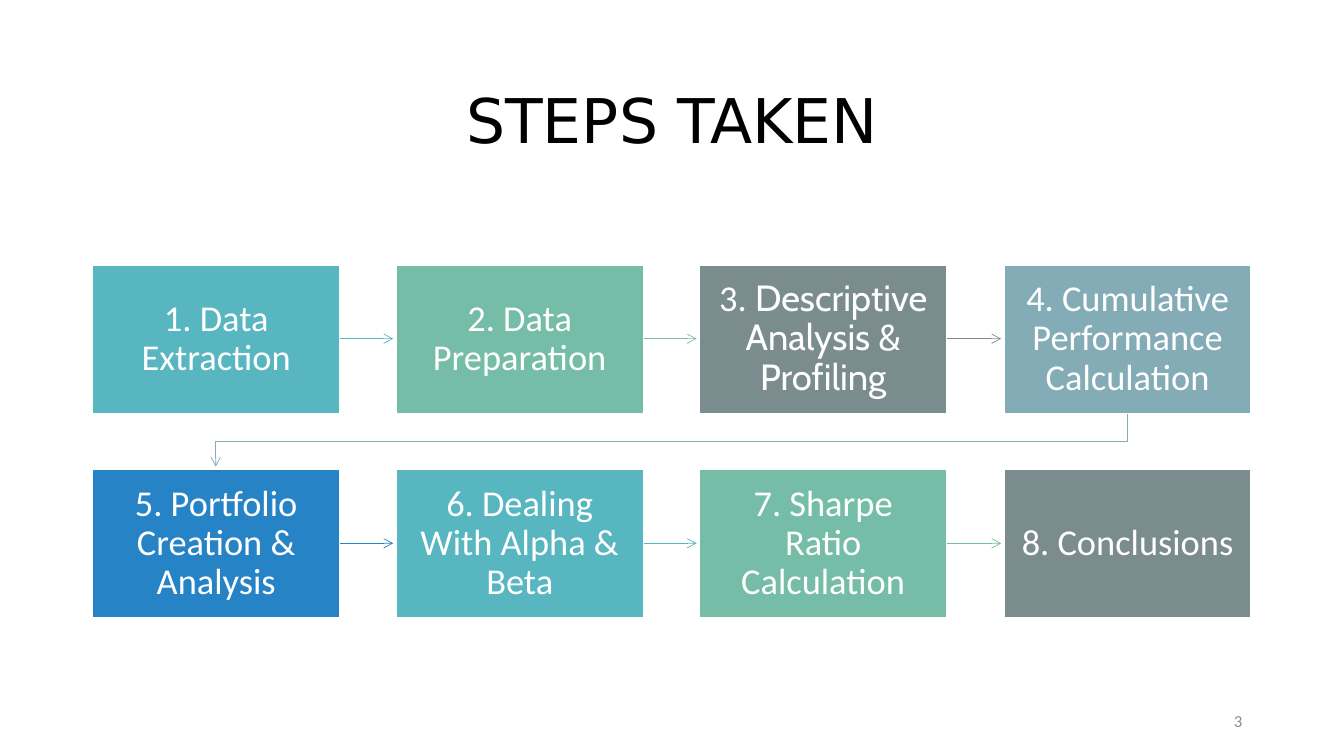
from pptx import Presentation
from pptx.dml.color import RGBColor as Rgb
from pptx.enum.shapes import MSO_CONNECTOR as Link, MSO_SHAPE as Form
from pptx.enum.text import MSO_ANCHOR as Anchor, MSO_AUTO_SIZE as Fit, PP_ALIGN as Align
from pptx.oxml.ns import qn
from pptx.util import Pt
from lxml.etree import SubElement as Sub

PX = 9144  # EMU in one px, 100 px to the inch
HUES = {"teal": "58B6C0", "green": "75BDA7", "slate": "7A8C8E", "mist": "84ACB6",
        "blue": "2683C6", "white": "FFFFFF", "black": "000000", "gray": "8C8C8C"}
COLS = 4
STEPS = [  # runs of text with their fonts, fill
    ([("1. Data Extraction", "Calibri")], "teal"),
    ([("2. Data Preparation", "Calibri")], "green"),
    ([("3. ", "Calibri"), ("Descriptive Analysis & Profiling", "Cabin")], "slate"),
    ([("4. Cumulative Performance Calculation", "Calibri")], "mist"),
    ([("5. Portfolio Creation & Analysis", "Calibri")], "blue"),
    ([("6. Dealing With Alpha & Beta", "Calibri")], "teal"),
    ([("7. Sharpe Ratio Calculation", "Calibri")], "green"),
    ([("8. Conclusions", "Calibri")], "slate"),
]


def hue(name):
    return Rgb.from_string(HUES[name])


def emu(*nums):
    return [round(n * PX) for n in nums]


def place(shape, box):
    shape.left, shape.top, shape.width, shape.height = emu(*box)


def style(run, face, size, tone):
    font = run.font
    font.name, font.size, font.color.rgb = face, Pt(size), hue(tone)


def point(line, tone):
    """Thin coloured line with an open arrowhead at its end."""
    line.line.color.rgb = hue(tone)
    line.line.width = Pt(0.5)
    Sub(line._element.spPr.find(qn("a:ln")), qn("a:tailEnd"), type="arrow")


def title(slide, box):
    head = slide.shapes.title
    place(head, box)
    frame = head.text_frame
    frame.text = "STEPS TAKEN"
    frame.auto_size, frame.vertical_anchor = Fit.NONE, Anchor.MIDDLE
    para = frame.paragraphs[0]
    para.alignment, para.line_spacing = Align.CENTER, 0.9
    style(para.runs[0], "DejaVu Sans", 44, "black")


def card(slide, box, parts, tone):
    shape = slide.shapes.add_shape(Form.RECTANGLE, *emu(*box))
    shape.shadow.inherit = False
    shape.fill.solid()
    shape.fill.fore_color.rgb = hue(tone)
    shape.line.color.rgb = hue("white")
    shape.line.width = Pt(1)
    frame = shape.text_frame
    frame.word_wrap, frame.vertical_anchor = True, Anchor.MIDDLE
    frame.margin_left, frame.margin_right = emu(12, 12)
    frame.margin_top, frame.margin_bottom = emu(13, 13)
    para = frame.paragraphs[0]
    para.alignment, para.line_spacing = Align.CENTER, 0.9
    for text, face in parts:
        run = para.add_run()
        run.text = text
        style(run, face, 26, "white")


def arrow(slide, start, end, tone):
    line = slide.shapes.add_connector(Link.STRAIGHT, *emu(*start, *end))
    point(line, tone)
    Sub(line._element.spPr, qn("a:effectLst"))


def elbow(slide, start, end, tone):
    mid = start[1] + 28
    pen = slide.shapes.build_freeform(*start, scale=PX)
    pen.add_line_segments([(start[0], mid), (end[0], mid), end], close=False)
    bend = pen.convert_to_shape()
    bend.shadow.inherit = False
    bend.fill.background()
    point(bend, tone)


def flow(slide, box):
    """Grid of steps, each joined to the next one."""
    left, top, wide, high = box
    w, h = 245, 147
    cells = [(left + i % COLS * (wide - w) // (COLS - 1),
              top + i // COLS * (high - h)) for i in range(len(STEPS))]
    # Arrows lie behind the cards and stop 3 px short of the next
    for (x, y), (nx, ny), (_, tone) in zip(cells, cells[1:], STEPS):
        if y == ny:
            arrow(slide, (x + w, y + h // 2), (nx - 3, y + h // 2), tone)
        else:
            elbow(slide, (x + w // 2, y + h), (nx + w // 2, ny - 3), tone)
    for (x, y), (parts, tone) in zip(cells, STEPS):
        card(slide, (x, y, w, h), parts, tone)


def number(slide, box):
    frame = slide.shapes.add_textbox(*emu(*box)).text_frame
    frame.word_wrap, frame.vertical_anchor = True, Anchor.MIDDLE
    frame.text = "3"
    para = frame.paragraphs[0]
    para.alignment = Align.RIGHT
    style(para.runs[0], "Calibri", 12, "gray")


def main():
    deck = Presentation()
    deck.slide_width, deck.slide_height = emu(1333, 750)
    slide = deck.slides.add_slide(deck.slide_layouts[5])
    title(slide, (92, 61, 1150, 124))
    flow(slide, (92, 263, 1149, 350))
    number(slide, (942, 695, 300, 40))
    deck.save("out.pptx")


if __name__ == "__main__":
    main()
